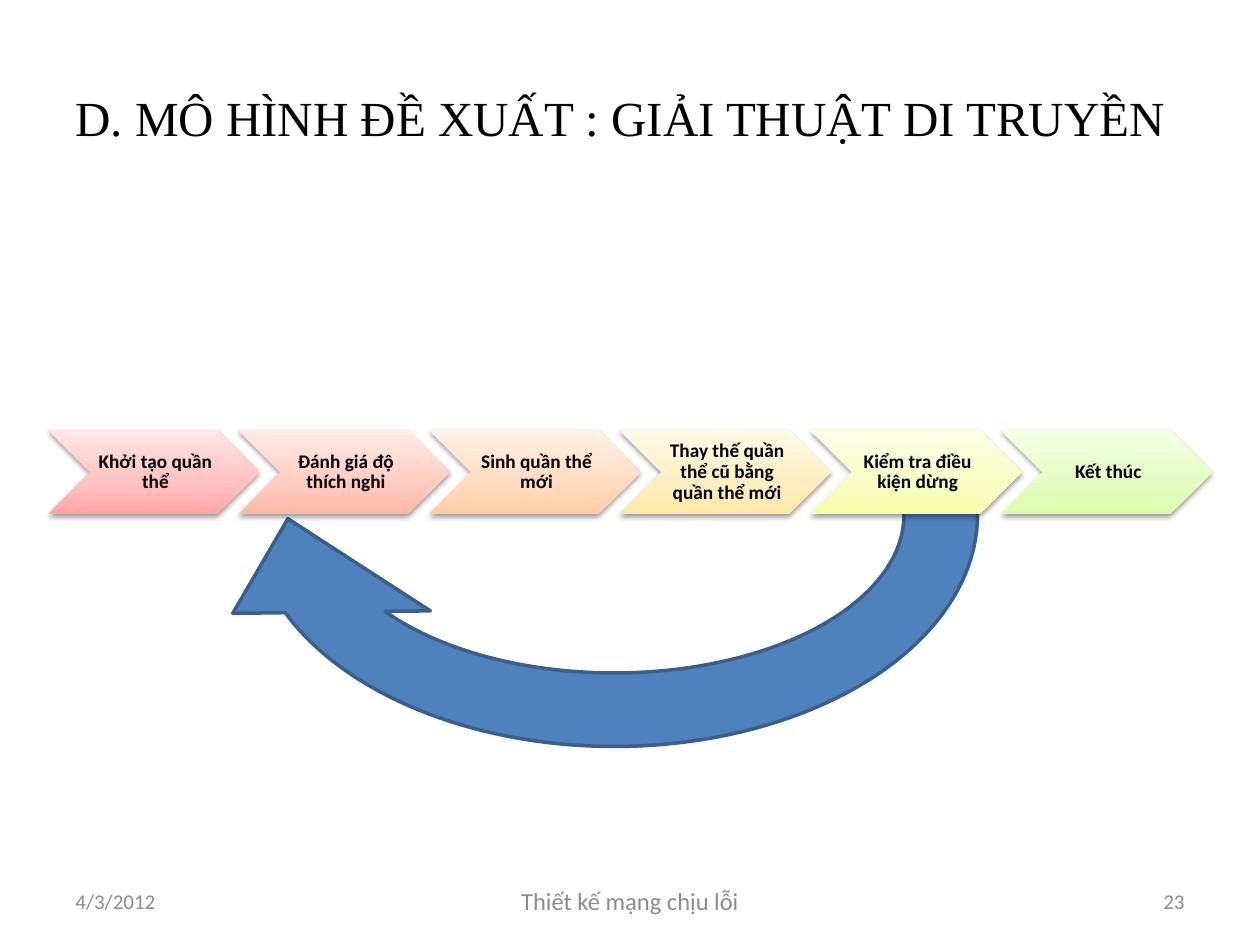
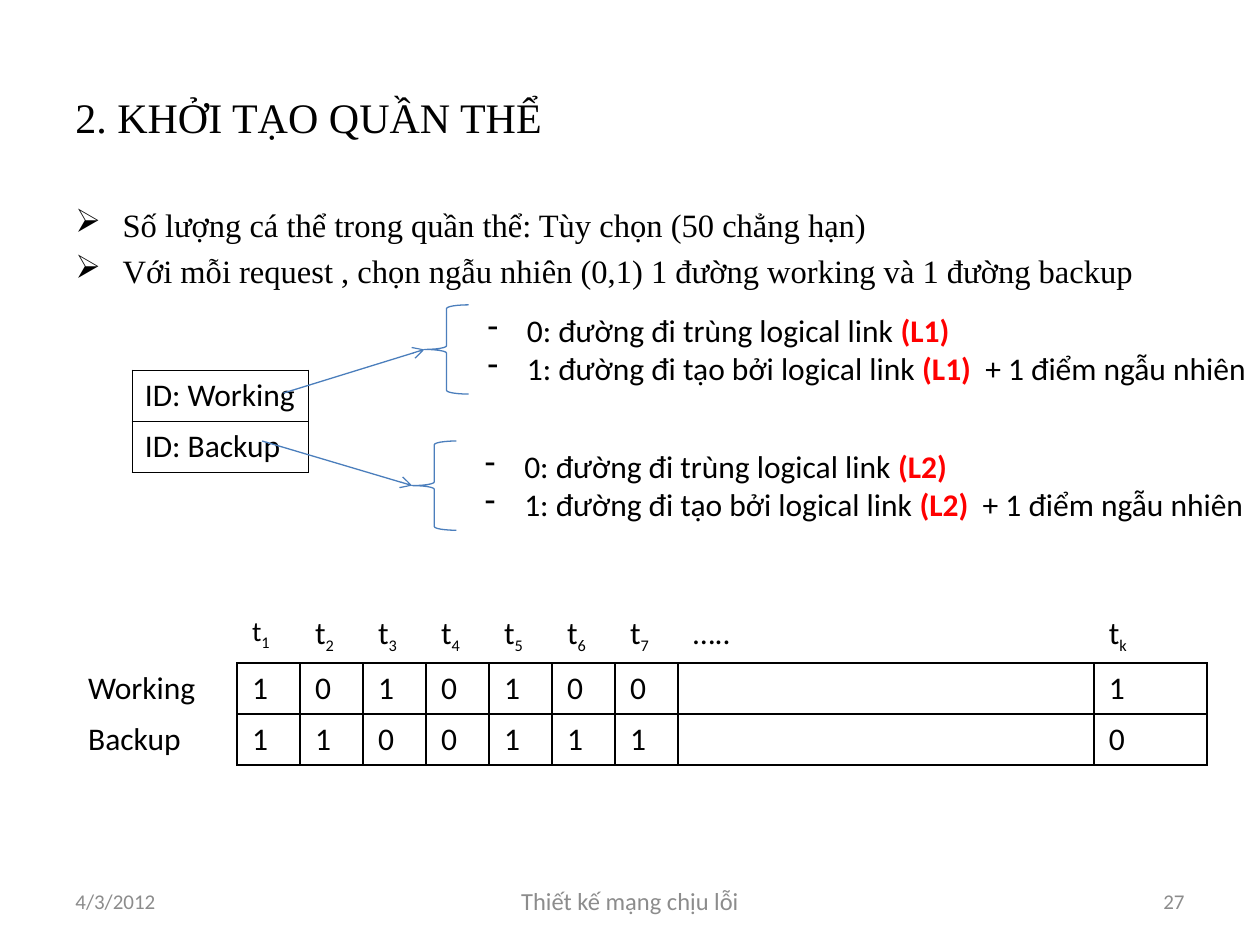
from dataclasses import dataclass
from typing import NamedTuple

from lxml import etree
from pptx import Presentation
from pptx.dml import color
from pptx.enum import shapes, text
from pptx.oxml import ns
from pptx.util import Pt

HUES = {"ink": "000000", "gray": "8C8C8C", "red": "FF0000", "blue": "4F81BD",
        "edge": "3A5F8C", "line": "4B7EBC"}
SERIF, SANS = "Times New Roman", "Calibri"
LEFT, MID, RIGHT = text.PP_ALIGN.LEFT, text.PP_ALIGN.CENTER, text.PP_ALIGN.RIGHT
SHAPE = shapes.MSO_SHAPE


class Box(NamedTuple):
    x: float
    y: float
    w: float
    h: float

    def pts(self) -> list:
        return [Pt(v) for v in self]


class Run(NamedTuple):
    words: str
    hot: bool = False
    size: float = 0
    sub: bool = False


@dataclass
class Style:
    size: float = 18
    face: str = SANS
    hue: str = "ink"
    align: object = LEFT
    bold: bool = False
    mark: str = ""
    indent: float = 0
    before: float = 0


@dataclass
class Step:
    words: str
    low: str
    mid: str
    high: str


@dataclass
class Path:
    x: float
    y: float
    link: str
    start: tuple


TITLE_BOX = Box(36, 21.6, 648, 90)
FOOTER = [(Box(36, 500.4, 168, 28.8), Style(12, hue="gray")),
          (Box(246, 500.4, 228, 28.8), Style(14, hue="gray", align=MID)),
          (Box(516, 500.4, 168, 28.8), Style(12, hue="gray", align=RIGHT))]
DATE, TOPIC = "4/3/2012", "Thiết kế mạng chịu lỗi"

STEPS = [Step("Khởi tạo quần thể", "FFA6A5", "FFC0BF", "FFE7E7"),
         Step("Đánh giá độ thích nghi", "FFB7A5", "FFCBBF", "FFEBE7"),
         Step("Sinh quần thể mới", "FFCDA5", "FFDBBF", "FFF1E7"),
         Step("Thay thế quần thể cũ bằng quần thể mới", "FFE8A5", "FEEEC0", "FFF9E7"),
         Step("Kiểm tra điều kiện dừng", "F6FEA6", "F7FDC1", "FDFFE7"),
         Step("Kết thúc", "DAFDA7", "E4FCC2", "F5FFE7")]
STEP_BOX, STEP_GAP = Box(27.2, 245.6, 121, 48.4), 108.9

POINTS = ["Số lượng cá thể trong quần thể: Tùy chọn (50 chẳng hạn)",
          "Với mỗi request , chọn ngẫu nhiên (0,1) 1 đường working và 1 đường backup"]
PATHS = [Path(242.6, 174.2, "(L1)", (162, 224.6)),
         Path(235.6, 252, "(L2)", (149.8, 252))]
ROW = 29.2
GENES = {"Working": "1010100", "Backup": "1100111"}
LAST = {"Working": "1", "Backup": "0"}


def rgb(name: str) -> color.RGBColor:
    return color.RGBColor.from_string(HUES[name])


def node(up, tag: str, **attrs):
    return etree.SubElement(up, ns.qn(tag), {k: str(v) for k, v in attrs.items()})


def write(frame, lines: list, style: Style) -> None:
    for i, line in enumerate(lines):
        para = frame.add_paragraph() if i else frame.paragraphs[0]
        para.alignment = style.align
        if style.mark:
            props = para._p.get_or_add_pPr()
            props.set("marL", str(Pt(style.indent)))
            props.set("indent", str(-Pt(style.indent)))
            node(props, "a:buChar", char=style.mark)
        if style.before:
            para.space_before = Pt(style.before)
        font = para.font
        font.name, font.size, font.bold = style.face, Pt(style.size), style.bold
        font.color.rgb = rgb(style.hue)
        for part in [Run(line)] if isinstance(line, str) else line:
            run = para.add_run()
            run.text = part.words
            if part.hot:
                run.font.bold = True
                run.font.color.rgb = rgb("red")
            if part.size:
                run.font.size = Pt(part.size)
            if part.sub:
                run._r.get_or_add_rPr().set("baseline", "-25000")


def label(slide, box: Box, lines: list, style: Style, middle: bool = True) -> None:
    frame = slide.shapes.add_textbox(*box.pts()).text_frame
    frame.word_wrap = True
    if middle:
        frame.vertical_anchor = text.MSO_ANCHOR.MIDDLE
    write(frame, lines, style)


def start(deck, title: str, size: float, page: str):
    slide = deck.slides.add_slide(deck.slide_layouts[6])
    label(slide, TITLE_BOX, [title], Style(size, SERIF))
    for words, (box, style) in zip((DATE, TOPIC, page), FOOTER):
        label(slide, box, [words], style)
    return slide


def shape(slide, kind, box: Box, edge: str = "", width: float = 0):
    item = slide.shapes.add_shape(kind, *box.pts())
    item.shadow.inherit = False
    if edge:
        item.line.color.rgb = rgb(edge)
        item.line.width = Pt(width)
    else:
        item.line.fill.background()
    return item


def chevron(slide, step: Step, box: Box) -> None:
    item = shape(slide, SHAPE.CHEVRON, box)
    item.fill.gradient()
    item.fill.gradient_angle = 90
    props = item._element.spPr
    stops = props.find(".//" + ns.qn("a:gsLst"))
    for old in list(stops):
        stops.remove(old)
    for pos, hue in ((0, step.low), (35, step.mid), (100, step.high)):
        node(node(stops, "a:gs", pos=pos * 1000), "a:srgbClr", val=hue)
    shade = node(props.find(ns.qn("a:effectLst")), "a:outerShdw", blurRad=Pt(3.1),
                 dist=Pt(1.6), dir=5400000, rotWithShape=0)
    node(node(shade, "a:srgbClr", val=HUES["ink"]), "a:alpha", val=38000)
    frame = item.text_frame
    frame.word_wrap = True
    frame.vertical_anchor = text.MSO_ANCHOR.MIDDLE
    frame.margin_left = Pt(3.6)
    frame.margin_top = frame.margin_right = frame.margin_bottom = Pt(1.4)
    write(frame, [step.words], Style(11, align=MID, bold=True))
    frame.paragraphs[0].line_spacing = 0.9


def arrow(slide, begin: tuple, goal) -> None:
    x, y = (Pt(v) for v in begin)
    link = slide.shapes.add_connector(shapes.MSO_CONNECTOR.STRAIGHT, x, y, x, y)
    link.end_connect(goal, 1)
    link.line.color.rgb = rgb("line")
    link.line.width = Pt(0.75)
    node(link.line._ln, "a:tailEnd", type="arrow")
    node(link._element.spPr, "a:effectLst")


def grid(slide, x: float, y: float, cols: list, rows: int):
    box = Box(x, y, sum(cols), ROW * rows)
    table = slide.shapes.add_table(rows, len(cols), *box.pts()).table
    table.first_row = table.horz_banding = False
    for col, width in zip(table.columns, cols):
        col.width = Pt(width)
    for row in table.rows:
        row.height = Pt(ROW)
    return table


def fill(cell, line, sides: str = "LRTB", pad: float = 7.2) -> None:
    cell.margin_left = cell.margin_right = Pt(pad)
    props = cell._tc.get_or_add_tcPr()
    for side in "LRTB":
        edge = node(props, "a:ln" + side, w=Pt(1))
        if side in sides:
            node(node(edge, "a:solidFill"), "a:srgbClr", val=HUES["ink"])
        else:
            node(edge, "a:noFill")
    cell.fill.background()
    write(cell.text_frame, [line], Style())


def process(deck) -> None:
    slide = start(deck, "D. MÔ HÌNH ĐỀ XUẤT : GIẢI THUẬT DI TRUYỀN", 28, "23")
    loop = shape(slide, SHAPE.CIRCULAR_ARROW, Box(108, 126, 486, 336), "edge", 2)
    loop.rotation = 180
    loop.fill.solid()
    loop.fill.fore_color.rgb = rgb("blue")
    for i, value in enumerate((0.125, 10.984, 204.577, 107.607, 0.168)):
        loop.adjustments[i] = value
    for i, step in enumerate(STEPS):
        chevron(slide, step, STEP_BOX._replace(x=STEP_BOX.x + i * STEP_GAP))


def genes(slide) -> None:
    table = grid(slide, 41.8, 347.8, [93.6] + [36] * 7 + [237.6, 64.8], 3)
    heads = [[Run("t", size=16 if i == 1 else 18), Run(str(i), size=16, sub=True)]
             for i in range(1, 8)]
    heads += ["…..", [Run("t"), Run("k", size=16, sub=True)]]
    rows = [["", *heads]]
    rows += [[name, *bits, "", LAST[name]] for name, bits in GENES.items()]
    for r, row in enumerate(rows):
        for c, line in enumerate(row):
            sides = ("B" if c else "") if r == 0 else ("LRTB" if c else "R")
            fill(table.cell(r, c), line, sides, 8.6)


def setup(deck) -> None:
    slide = start(deck, "2. KHỞI TẠO QUẦN THỂ", 24, "27")
    label(slide, Box(36, 113.8, 648, 54), POINTS,
          Style(18.6, SERIF, mark="➢", indent=27, before=3.7), False)
    names = grid(slide, 75.6, 211.7, [100.8], 2)
    for r, name in enumerate(GENES):
        fill(names.cell(r, 0), f"ID: {name}")
    for path in PATHS:
        brace = shape(slide, SHAPE.LEFT_BRACE, Box(path.x, path.y, 25.2, 51), "line", 0.75)
        brace.fill.background()
        lines = [[Run("0: đường đi trùng logical link "), Run(path.link, True)],
                 [Run("1: đường đi tạo bởi logical link "), Run(path.link + "  ", True),
                  Run("+ 1 điểm ngẫu nhiên")]]
        label(slide, Box(path.x + 28.9 + (path.x < 240) * 5.5, path.y, 450, 51), lines,
              Style(mark="-", indent=22.5), False)
        arrow(slide, path.start, brace)
    genes(slide)


def main() -> None:
    deck = Presentation()
    deck.slide_width, deck.slide_height = Pt(720), Pt(540)
    process(deck)
    setup(deck)
    deck.save("out.pptx")


if __name__ == "__main__":
    main()
